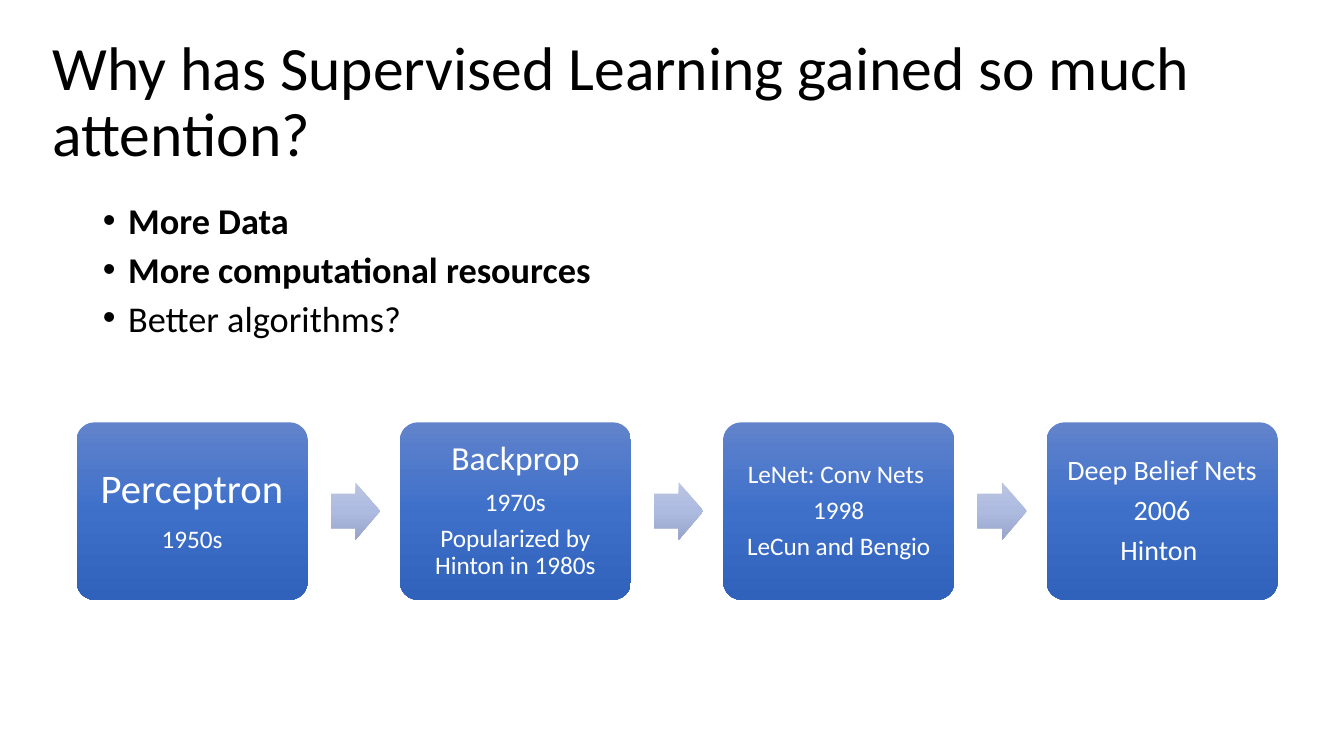
from copy import deepcopy

from pptx import Presentation
from pptx.dml.color import RGBColor
from pptx.enum.shapes import MSO_SHAPE as Shape
from pptx.enum.text import MSO_ANCHOR as Anchor, MSO_AUTO_SIZE as AutoSize, PP_ALIGN as Align
from pptx.util import Inches, Pt

BOX_GRADIENT = ["6183CB", "3E70CA", "3062BB"]
ARROW_GRADIENT = ["BBC5E3", "AEBBE0", "98A4CB"]
BOX_LEFT, BOX_TOP, BOX_WIDTH, BOX_HEIGHT = 0.76, 4.19, 2.29, 1.76
ARROW_WIDTH, ARROW_HEIGHT = 0.49, 0.57
STEP = 3.207
ARROW_OFFSET = 2.52

# Each milestone: text inset, then lines with their sizes
MILESTONES = [
    (0.12, [("Perceptron", 29), ("1950s", 18)]),
    (0.10, [("Backprop", 24), ("1970s", 18), ("Popularized by Hinton in 1980s", 18)]),
    (0.07, [("LeNet: Conv Nets ", 18), ("1998", 18), ("LeCun and Bengio", 18)]),
    (0.08, [("Deep Belief Nets", 20), ("2006", 20), ("Hinton ", 20)]),
]


def style_text(para, size, color, bold=False):
    for run in para.runs:
        run.font.name = "Calibri"
        run.font.size = Pt(size)
        run.font.bold = bold
        run.font.color.rgb = RGBColor.from_string(color)


def add_gradient_shape(kind, left, top, width, height, adjustments, colors):
    """Add a borderless shape with a three-stop gradient from top to bottom."""
    shape = slide.shapes.add_shape(kind, Inches(left), Inches(top), Inches(width), Inches(height))
    for index, value in enumerate(adjustments):
        shape.adjustments[index] = value
    shape.shadow.inherit = False
    shape.line.fill.background()
    shape.fill.gradient()
    shape.fill.gradient_angle = 270
    stop_list = shape.fill._fill._gradFill.gsLst
    stop_list.insert(1, deepcopy(stop_list[0]))
    for stop, position, color in zip(shape.fill.gradient_stops, (0, 0.5, 1), colors):
        stop.position = position
        stop.color.rgb = RGBColor.from_string(color)
    return shape


deck = Presentation()
deck.slide_width, deck.slide_height = Inches(13.33), Inches(7.5)
slide = deck.slides.add_slide(deck.slide_layouts[1])

title, body = slide.placeholders
for holder, top, height, left in ((title, 0.3, 1.45, 0.42), (body, 2, 1.92, 0.92)):
    holder.left, holder.top = Inches(left), Inches(top)
    holder.width, holder.height = Inches(11.5), Inches(height)
    holder.text_frame.auto_size = AutoSize.NONE

title.text_frame.text = "Why has Supervised Learning gained so much attention?"
title.text_frame.vertical_anchor = Anchor.MIDDLE
heading = title.text_frame.paragraphs[0]
heading.alignment = Align.LEFT
heading.line_spacing = 0.9
style_text(heading, 44, "000000")

reasons = [("More Data", True), ("More computational resources", True), ("Better algorithms?", False)]
body.text_frame.text = "\n".join(reason for reason, bold in reasons)
for para, (reason, bold) in zip(body.text_frame.paragraphs, reasons):
    para.line_spacing = 0.8
    para.space_before = Pt(10)
    properties = para._p.get_or_add_pPr()
    properties.set("marL", str(Inches(0.25)))
    properties.set("indent", str(Inches(-0.25)))
    style_text(para, 25.9, "000000", bold)

for index, (inset, lines) in enumerate(MILESTONES):
    left = BOX_LEFT + index * STEP
    box = add_gradient_shape(Shape.ROUNDED_RECTANGLE, left, BOX_TOP, BOX_WIDTH, BOX_HEIGHT,
                             [0.1], BOX_GRADIENT)
    frame = box.text_frame
    frame.word_wrap = True
    frame.vertical_anchor = Anchor.MIDDLE
    frame.margin_left = frame.margin_right = Inches(inset)
    frame.margin_top = frame.margin_bottom = Inches(inset)
    frame.text = "\n".join(line for line, size in lines)
    for para, (line, size) in zip(frame.paragraphs, lines):
        para.alignment = Align.CENTER
        para.line_spacing = 0.9
        para.space_after = Pt(0.35 * size)
        style_text(para, size, "FFFFFF")
    if index < len(MILESTONES) - 1:
        arrow_top = BOX_TOP + (BOX_HEIGHT - ARROW_HEIGHT) / 2
        add_gradient_shape(Shape.RIGHT_ARROW, left + ARROW_OFFSET, arrow_top,
                           ARROW_WIDTH, ARROW_HEIGHT, [0.6, 0.5], ARROW_GRADIENT)

deck.save("out.pptx")
